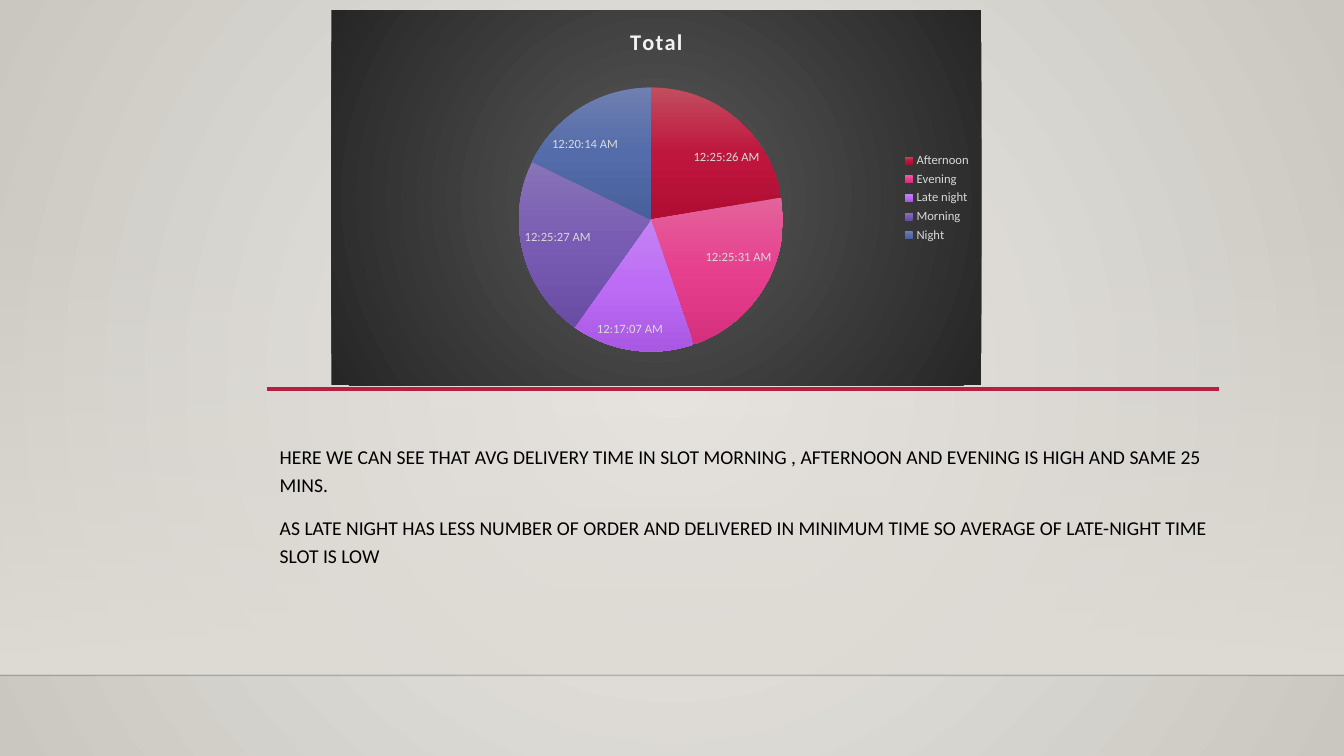
from lxml import etree
from pptx import Presentation
from pptx.chart.data import CategoryChartData
from pptx.dml.color import RGBColor
from pptx.enum.chart import XL_CHART_TYPE, XL_LABEL_POSITION, XL_LEGEND_POSITION
from pptx.enum.shapes import MSO_CONNECTOR, MSO_SHAPE
from pptx.enum.text import MSO_ANCHOR, PP_ALIGN
from pptx.oxml.ns import qn
from pptx.util import Cm, Pt

PIE = XL_CHART_TYPE.PIE
BEST_FIT = XL_LABEL_POSITION.BEST_FIT
RIGHT = XL_LEGEND_POSITION.RIGHT
STRAIGHT = MSO_CONNECTOR.STRAIGHT
RECTANGLE = MSO_SHAPE.RECTANGLE
TOP = MSO_ANCHOR.TOP
LEFT = PP_ALIGN.LEFT

FONT = "Calibri"
BLACK = RGBColor(0x00, 0x00, 0x00)
CRIMSON = RGBColor(0xB7, 0x1E, 0x42)
FLOOR_LINE = RGBColor(0x00, 0x00, 0x01)
STONE = RGBColor(0xDF, 0xDB, 0xD5)
STONE_LIGHT = RGBColor(0xEC, 0xEA, 0xE7)
STONE_DARK = RGBColor(0xCA, 0xC7, 0xC1)
GREY = RGBColor(0x59, 0x59, 0x59)
CHARCOAL = RGBColor(0x26, 0x26, 0x26)
LABEL_GREY = RGBColor(0xD9, 0xD9, 0xD9)
TITLE_GREY = RGBColor(0xF2, 0xF2, 0xF2)

TIME_FORMAT = r"[$-F400]h:mm:ss\ AM/PM"

# Slot, average time as a fraction of a day, gradient from top to bottom
SLOTS = [
    ("Afternoon", 0.017663, ("C24E5F", "BF163E", "B00D33")),
    ("Evening", 0.017724, ("E3639B", "E63F8E", "D5307D")),
    ("Late night", 0.011898, ("C484F3", "BD6CF6", "A958E3")),
    ("Morning", 0.017678, ("8974B8", "785BB3", "694CA4")),
    ("Night", 0.014059, ("6E7FB0", "546CAA", "475F9A")),
]

FINDINGS = [
    "HERE WE CAN SEE THAT AVG DELIVERY TIME IN SLOT MORNING , AFTERNOON "
    "AND EVENING IS HIGH AND SAME 25 MINS.",
    "AS LATE NIGHT HAS LESS NUMBER OF ORDER AND DELIVERED IN MINIMUM TIME "
    "SO AVERAGE OF LATE-NIGHT TIME SLOT IS LOW",
]


def set_attrs(obj, values):
    for name, value in values.items():
        setattr(obj, name, value)


def style_font(font, size, color, bold=False):
    set_attrs(font, {"name": FONT, "size": Pt(size), "bold": bold})
    font.color.rgb = color


def set_alpha(color_element, percent):
    etree.SubElement(color_element, qn("a:alpha"), val=str(percent * 1000))


def make_gradient(colors, radial=False, first_alpha=100):
    """Evenly spaced stops, running downwards or out from the centre."""
    grad = etree.Element(qn("a:gradFill"), rotWithShape="1")
    stops = etree.SubElement(grad, qn("a:gsLst"))
    for i, color in enumerate(colors):
        pos = 100000 * i // (len(colors) - 1)
        stop = etree.SubElement(stops, qn("a:gs"), pos=str(pos))
        clr = etree.SubElement(stop, qn("a:srgbClr"), val=str(color))
        if i == 0 and first_alpha < 100:
            set_alpha(clr, first_alpha)
    if radial:
        path = etree.SubElement(grad, qn("a:path"), {"path": "circle"})
        etree.SubElement(path, qn("a:fillToRect"),
                         {side: "50000" for side in "ltrb"})
    else:
        etree.SubElement(grad, qn("a:lin"), ang="5400000", scaled="0")
    return grad


def replace_fill(solid, gradient):
    solid.getparent().replace(solid, gradient)


def add_background(s):
    s.background.fill.solid()
    solid = s.element.find(".//" + qn("p:bgPr") + "/" + qn("a:solidFill"))
    replace_fill(solid, make_gradient((STONE_LIGHT, STONE_DARK), radial=True))


def add_wall(s, x, y, w, h):
    sp = s.shapes.add_shape(RECTANGLE, x, y, w, h)
    sp.shadow.inherit = False
    sp.line.fill.background()
    sp.fill.solid()
    solid = sp.element.spPr.find(qn("a:solidFill"))
    replace_fill(solid, make_gradient((STONE, STONE), first_alpha=0))


def add_rule(s, x1, x2, y, color, width, alpha=100):
    line = s.shapes.add_connector(STRAIGHT, x1, y, x2, y)
    line.line.width = Pt(width)
    line.line.color.rgb = color
    sp_pr = line.element.spPr
    if alpha < 100:
        set_alpha(sp_pr.find(".//" + qn("a:srgbClr")), alpha)
    etree.SubElement(sp_pr, qn("a:effectLst"))


def add_text(s, x, y, w, h, paragraphs):
    tf = s.shapes.add_textbox(x, y, w, h).text_frame
    margins = {f"margin_{side}": Cm(0.25)
               for side in ("left", "top", "right", "bottom")}
    set_attrs(tf, {"word_wrap": True, "vertical_anchor": TOP, **margins})
    for i, text in enumerate(paragraphs):
        p = tf.add_paragraph() if i else tf.paragraphs[0]
        set_attrs(p, {"alignment": LEFT, "line_spacing": 1.2,
                      "space_before": Pt(10)})
        r = p.add_run()
        r.text = text
        style_font(r.font, 14, BLACK)


def fill_chart_area(chart):
    text_props = chart.element.find(qn("c:txPr"))
    sp_pr = etree.Element(qn("c:spPr"))
    sp_pr.append(make_gradient((GREY, CHARCOAL), radial=True))
    line = etree.SubElement(sp_pr, qn("a:ln"))
    etree.SubElement(line, qn("a:noFill"))
    text_props.addprevious(sp_pr)


def add_slot_pie(s, x, y, w, h):
    data = CategoryChartData(number_format=TIME_FORMAT)
    data.categories = [name for name, _, _ in SLOTS]
    data.add_series("Total", [time for _, time, _ in SLOTS])
    chart = s.shapes.add_chart(PIE, x, y, w, h, data).chart
    style_font(chart.font, 10, BLACK)
    fill_chart_area(chart)

    # Title
    chart.has_title = True
    title = chart.chart_title
    title.include_in_layout = False
    r = title.text_frame.paragraphs[0].add_run()
    r.text = "Total"
    style_font(r.font, 16, TITLE_GREY, bold=True)
    r.font._element.set("spc", "100")

    # Legend
    chart.has_legend = True
    set_attrs(chart.legend, {"position": RIGHT, "include_in_layout": False})
    style_font(chart.legend.font, 9, LABEL_GREY)

    # Slices and labels
    plot = chart.plots[0]
    plot.vary_by_categories = True
    series = plot.series[0]
    for i in range(len(SLOTS)):
        slice_format = series.points[i].format
        slice_format.line.fill.background()
        slice_format.fill.solid()
    solids = series._element.xpath("c:dPt/c:spPr/a:solidFill")
    for solid, (_, _, colors) in zip(solids, SLOTS):
        replace_fill(solid, make_gradient(colors))
    labels = series.data_labels
    set_attrs(labels, {"show_value": True, "position": BEST_FIT,
                       "number_format": TIME_FORMAT,
                       "number_format_is_linked": False})
    style_font(labels.font, 9, LABEL_GREY)


def main():
    prs = Presentation()
    set_attrs(prs, {"slide_width": Cm(33.87), "slide_height": Cm(19.05)})
    s = prs.slides.add_slide(prs.slide_layouts[6])

    # Backdrop
    add_background(s)
    add_wall(s, Cm(0), Cm(5.61), prs.slide_width, Cm(11.4))
    add_rule(s, Cm(0), prs.slide_width, Cm(17.02), FLOOR_LINE, 1, alpha=20)
    add_rule(s, Cm(6.72), Cm(30.71), Cm(9.8), CRIMSON, 2.5)

    # Content
    add_text(s, Cm(6.8), Cm(10.85), Cm(24), Cm(3.28), FINDINGS)
    add_slot_pie(s, Cm(8.35), Cm(0.26), Cm(16.38), Cm(9.45))

    prs.save("out.pptx")


if __name__ == "__main__":
    main()
